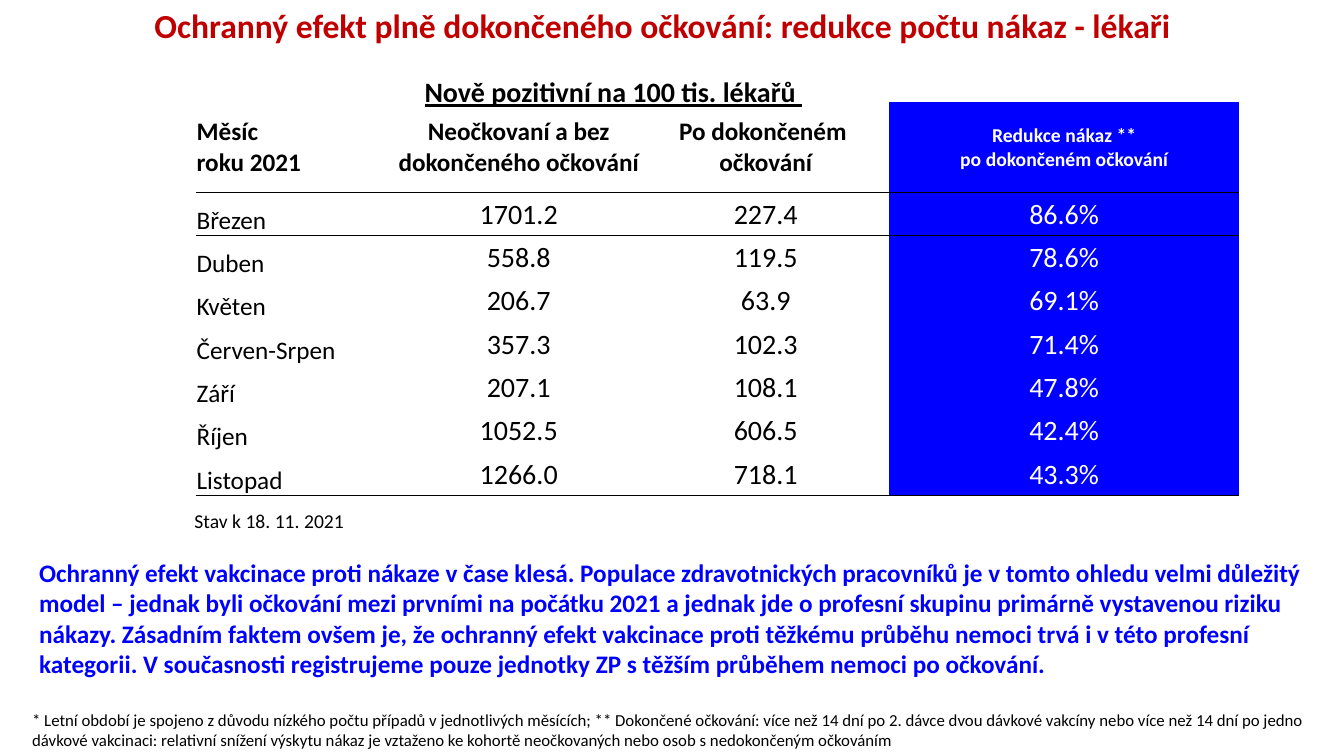
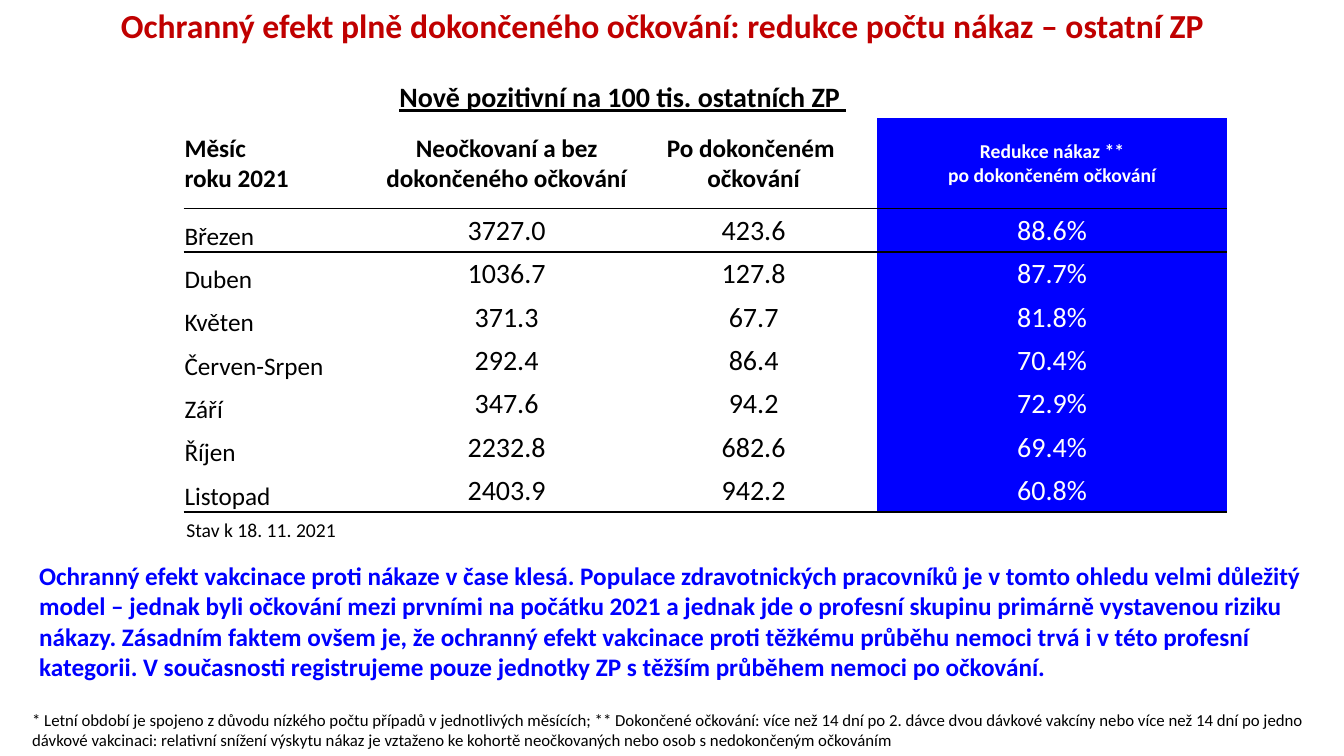
"""Build two slides on the protective effect of completed vaccination."""
import dataclasses
import typing

import lxml.etree
import pptx
import pptx.dml.color
import pptx.enum.text
import pptx.oxml.ns
import pptx.util

EMU_PER_PX = 9144
FONT = "Calibri"
RED, BLUE, BLACK, WHITE = "C00000", "0000FF", "000000", "FFFFFF"
PLAIN_TABLE = "{2D5ABB26-0587-4C30-8999-92F81FD0307C}"
LEFT = pptx.enum.text.PP_ALIGN.LEFT
CENTER = pptx.enum.text.PP_ALIGN.CENTER
MIDDLE = pptx.enum.text.MSO_ANCHOR.MIDDLE
BOTTOM = pptx.enum.text.MSO_ANCHOR.BOTTOM

COLUMN_WIDTHS = (198, 245, 245, 347)
ROW_HEIGHT, HEADER_HEIGHT = 43, 90
HEADERS = (
    "Měsíc\nroku 2021",
    "Neočkovaní a bez dokončeného očkování",
    "Po dokončeném \nočkování",
    "Redukce nákaz **\npo dokončeném očkování",
)
MONTHS = ("Březen", "Duben", "Květen", "Červen-Srpen", "Září", "Říjen", "Listopad")
STATUS = "Stav k 18. 11. 2021"
MESSAGE = (
    "Ochranný efekt vakcinace proti nákaze v čase klesá. Populace zdravotnických "
    "pracovníků je v tomto ohledu velmi důležitý model – jednak byli očkování mezi "
    "prvními na počátku 2021 a jednak jde o profesní skupinu primárně vystavenou "
    "riziku nákazy. Zásadním faktem ovšem je, že ochranný efekt vakcinace proti "
    "těžkému průběhu nemoci trvá i v této profesní kategorii. V současnosti "
    "registrujeme pouze jednotky ZP s těžším průběhem nemoci po očkování."
)
FOOTNOTE = (
    "* Letní období je spojeno z důvodu nízkého počtu případů v jednotlivých "
    "měsících; ** Dokončené očkování: více než 14 dní po 2. dávce dvou dávkové "
    "vakcíny nebo více než 14 dní po jedno dávkové vakcinaci: relativní snížení "
    "výskytu nákaz je vztaženo ke kohortě neočkovaných nebo osob s nedokončeným "
    "očkováním"
)


class Area(typing.NamedTuple):
    left: int
    top: int
    width: int
    height: int


@dataclasses.dataclass(frozen=True)
class TextStyle:
    size: int
    color: str = BLACK
    bold: bool = False
    underline: bool = False
    align: pptx.enum.text.PP_ALIGN = LEFT
    line_spacing: float = 1.0


@dataclasses.dataclass(frozen=True)
class Report:
    title: str
    subtitle: str
    subtitle_area: Area
    table_left: int
    table_top: int
    status_area: Area
    message_area: Area
    rates: tuple[tuple[str, str, str], ...]


TITLE_STYLE = TextStyle(24, RED, bold=True, align=CENTER, line_spacing=0.9)
SUBTITLE_STYLE = TextStyle(20, bold=True, underline=True, align=CENTER)
MESSAGE_STYLE = TextStyle(18, BLUE, bold=True)
STATUS_STYLE = TextStyle(14)
FOOTNOTE_STYLE = TextStyle(12)
HEADER_STYLES = (
    TextStyle(18, bold=True),
    TextStyle(18, bold=True, align=CENTER),
    TextStyle(18, bold=True, align=CENTER),
    TextStyle(14, WHITE, bold=True, align=CENTER),
)
BODY_STYLES = (
    TextStyle(18),
    TextStyle(20, align=CENTER),
    TextStyle(20, align=CENTER),
    TextStyle(20, WHITE, align=CENTER),
)
TITLE_AREA = Area(22, 4, 1270, 145)
FOOTNOTE_AREA = Area(22, 699, 1299, 50)

REPORTS = (
    Report(
        "Ochranný efekt plně dokončeného očkování: redukce počtu nákaz - lékaři",
        "Nově pozitivní na 100 tis. lékařů ",
        Area(387, 69, 443, 44), 194, 58,
        Area(183, 500, 221, 34), Area(29, 548, 1287, 131),
        (
            ("1701.2", "227.4", "86.6%"),
            ("558.8", "119.5", "78.6%"),
            ("206.7", "63.9", "69.1%"),
            ("357.3", "102.3", "71.4%"),
            ("207.1", "108.1", "47.8%"),
            ("1052.5", "606.5", "42.4%"),
            ("1266.0", "718.1", "43.3%"),
        ),
    ),
    Report(
        "Ochranný efekt plně dokončeného očkování: redukce počtu nákaz – ostatní ZP",
        "Nově pozitivní na 100 tis. ostatních ZP ",
        Area(381, 74, 474, 44), 182, 74,
        Area(175, 509, 221, 34), Area(29, 551, 1287, 131),
        (
            ("3727.0", "423.6", "88.6%"),
            ("1036.7", "127.8", "87.7%"),
            ("371.3", "67.7", "81.8%"),
            ("292.4", "86.4", "70.4%"),
            ("347.6", "94.2", "72.9%"),
            ("2232.8", "682.6", "69.4%"),
            ("2403.9", "942.2", "60.8%"),
        ),
    ),
)


def px(length: int) -> pptx.util.Emu:
    return pptx.util.Emu(length * EMU_PER_PX)


def rgb(color: str) -> pptx.dml.color.RGBColor:
    return pptx.dml.color.RGBColor.from_string(color)


def write(frame, text: str, style: TextStyle) -> None:
    for index, line in enumerate(text.split("\n")):
        para = frame.add_paragraph() if index else frame.paragraphs[0]
        para.text = line
        para.alignment = style.align
        para.line_spacing = style.line_spacing
        para.font.name = FONT
        para.font.size = pptx.util.Pt(style.size)
        para.font.bold = style.bold
        para.font.underline = style.underline
        para.font.color.rgb = rgb(style.color)


def add_text(page, area: Area, text: str, style: TextStyle) -> None:
    box = page.shapes.add_textbox(*map(px, area))
    box.text_frame.word_wrap = True
    write(box.text_frame, text, style)


def add_border(cell, edge: str) -> None:
    line = lxml.etree.Element(pptx.oxml.ns.qn(f"a:{edge}"), w=str(pptx.util.Pt(1)))
    fill = lxml.etree.SubElement(line, pptx.oxml.ns.qn("a:solidFill"))
    lxml.etree.SubElement(fill, pptx.oxml.ns.qn("a:srgbClr"), val=BLACK)
    cell._tc.get_or_add_tcPr().insert(0, line)


def fill_cell(cell, text: str, style: TextStyle, anchor, filled: bool) -> None:
    cell.margin_left = cell.margin_right = cell.margin_top = px(1)
    cell.margin_bottom = 0
    cell.vertical_anchor = anchor
    if filled:
        cell.fill.solid()
        cell.fill.fore_color.rgb = rgb(BLUE)
    else:
        cell.fill.background()
    write(cell.text_frame, text, style)


def add_rates_table(page, report: Report) -> None:
    body = [(month, *rates) for month, rates in zip(MONTHS, report.rates)]
    heights = [ROW_HEIGHT, HEADER_HEIGHT] + [ROW_HEIGHT] * len(body)
    area = Area(report.table_left, report.table_top, sum(COLUMN_WIDTHS), sum(heights))
    table = page.shapes.add_table(
        len(heights), len(COLUMN_WIDTHS), *map(px, area)
    ).table
    table.first_row = table.horz_banding = False
    table._tbl.tblPr.find(pptx.oxml.ns.qn("a:tableStyleId")).text = PLAIN_TABLE
    for column, width in zip(table.columns, COLUMN_WIDTHS):
        column.width = px(width)
    for row, height in zip(table.rows, heights):
        row.height = px(height)
    for cell in table.rows[0].cells:
        cell.fill.background()
    table.cell(0, 2).merge(table.cell(0, 3))
    last_column = len(COLUMN_WIDTHS) - 1
    for row_index, texts in enumerate([HEADERS, *body], start=1):
        is_header = row_index == 1
        styles = HEADER_STYLES if is_header else BODY_STYLES
        for column_index, (text, style) in enumerate(zip(texts, styles)):
            cell = table.cell(row_index, column_index)
            anchor = MIDDLE if is_header or column_index else BOTTOM
            fill_cell(cell, text, style, anchor, column_index == last_column)
            if is_header or row_index == len(body) + 1:
                add_border(cell, "lnB")
            if row_index == 2:
                add_border(cell, "lnT")


def add_report(deck, report: Report) -> None:
    page = deck.slides.add_slide(deck.slide_layouts[6])
    add_text(page, TITLE_AREA, report.title, TITLE_STYLE)
    add_text(page, report.subtitle_area, report.subtitle, SUBTITLE_STYLE)
    add_text(page, FOOTNOTE_AREA, FOOTNOTE, FOOTNOTE_STYLE)
    add_rates_table(page, report)
    add_text(page, report.status_area, STATUS, STATUS_STYLE)
    add_text(page, report.message_area, MESSAGE, MESSAGE_STYLE)


def main() -> None:
    deck = pptx.Presentation()
    deck.slide_width, deck.slide_height = px(1333), px(750)
    for report in REPORTS:
        add_report(deck, report)
    deck.save("out.pptx")


if __name__ == "__main__":
    main()
